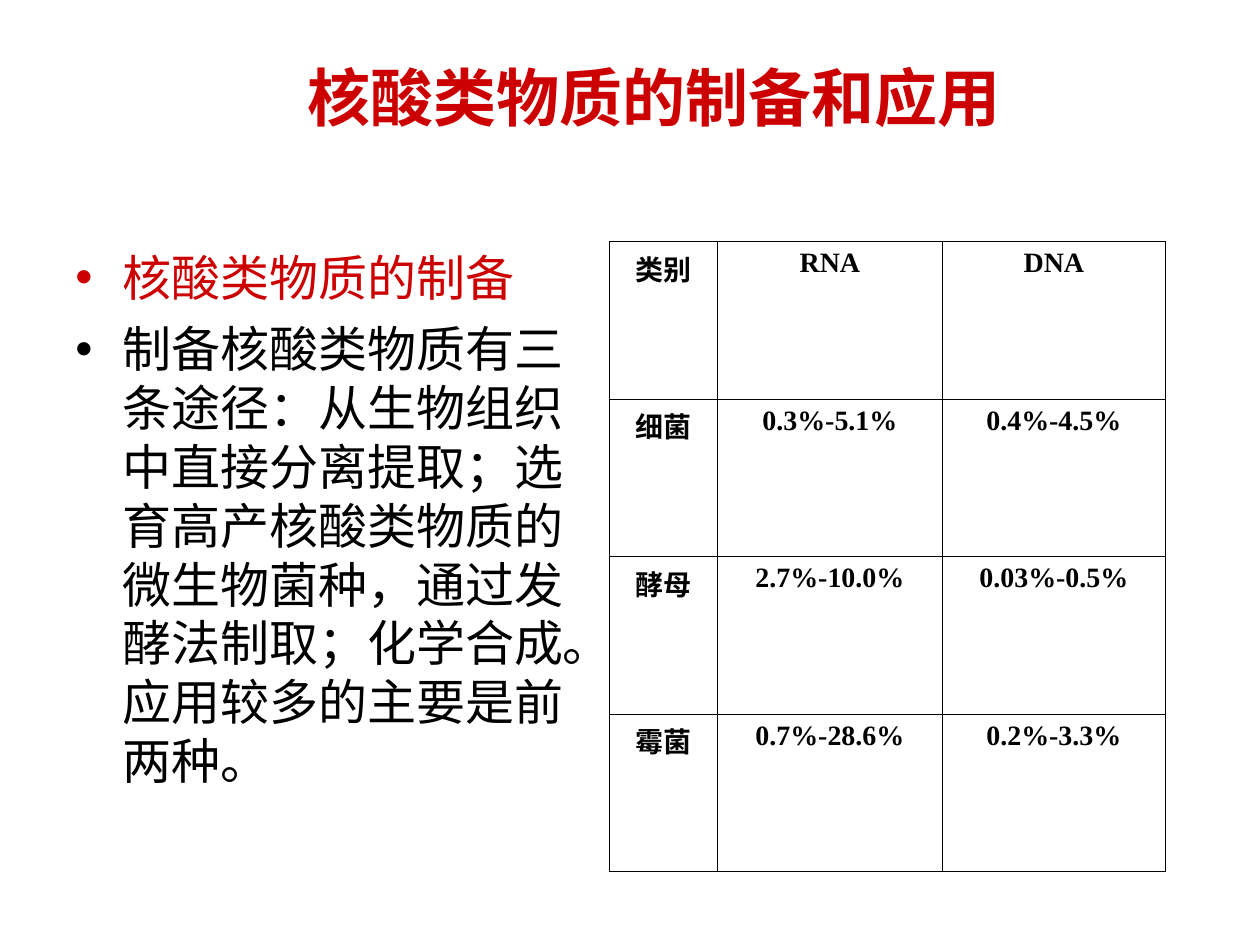
from lxml import etree
from pptx import Presentation
from pptx import util as u
from pptx.dml.color import RGBColor
from pptx.enum import lang, text
from pptx.oxml import ns

COLORS = {"red": "CC0000", "black": "000000"}


def write(paragraph, content, font="Arial", size=28, color="black", bold=False,
          align=text.PP_ALIGN.LEFT, before=0):
    paragraph.alignment = align
    paragraph.space_before = u.Pt(before)
    run = paragraph.add_run()
    run.text = content
    run.font.name = font
    run.font.size = u.Pt(size)
    run.font.bold = bold
    run.font.color.rgb = RGBColor.from_string(COLORS[color])
    run.font.language_id = lang.MSO_LANGUAGE_ID.SIMPLIFIED_CHINESE


def add_color(parent, color):
    fill = etree.SubElement(parent, ns.qn("a:solidFill"))
    etree.SubElement(fill, ns.qn("a:srgbClr"), val=COLORS[color])


class SlideBuilder:
    indent = 27
    border = 0.45

    def __init__(self, slide):
        self.slide = slide

    def text_frame(self, left, top, width, height, wrap=True):
        box = self.slide.shapes.add_textbox(*map(u.Pt, (left, top, width, height)))
        box.text_frame.word_wrap = wrap
        return box.text_frame

    def title(self, content, *place):
        frame = self.text_frame(*place, wrap=False)
        frame.auto_size = text.MSO_AUTO_SIZE.SHAPE_TO_FIT_TEXT
        write(frame.paragraphs[0], content, size=36, color="red", bold=True)

    def bullets(self, items, *place):
        frame = self.text_frame(*place)
        for index, (content, color) in enumerate(items):
            paragraph = frame.add_paragraph() if index else frame.paragraphs[0]
            properties = paragraph._p.get_or_add_pPr()
            properties.set("marL", str(u.Pt(self.indent)))
            properties.set("indent", str(u.Pt(-self.indent)))
            add_color(etree.SubElement(properties, ns.qn("a:buClr")), color)
            # The colour belongs directly inside buClr
            bullet_color = properties.find(ns.qn("a:buClr"))
            bullet_color.replace(bullet_color[0], bullet_color[0][0])
            etree.SubElement(properties, ns.qn("a:buFont"), typeface="Arial")
            etree.SubElement(properties, ns.qn("a:buChar"), char="•")
            write(paragraph, content, color=color, before=7 if index else 0)

    def table(self, rows, left, top, widths, row_height):
        frame = self.slide.shapes.add_table(
            len(rows), len(widths), u.Pt(left), u.Pt(top),
            u.Pt(sum(widths)), u.Pt(row_height * len(rows)))
        table = frame.table
        table.first_row = table.horz_banding = False
        for column, width in zip(table.columns, widths):
            column.width = u.Pt(width)
        for row, values in zip(table.rows, rows):
            row.height = u.Pt(row_height)
            for cell, value in zip(row.cells, values):
                self.borders(cell)
                cell.fill.background()
                write(cell.text_frame.paragraphs[0], value, font="Times New Roman",
                      size=16, bold=True, align=text.PP_ALIGN.CENTER)

    def borders(self, cell):
        properties = cell._tc.get_or_add_tcPr()
        for side in ("lnL", "lnR", "lnT", "lnB"):
            line = etree.SubElement(properties, ns.qn("a:" + side),
                                    w=str(u.Pt(self.border)))
            add_color(line, "black")


def main():
    deck = Presentation()
    deck.slide_width, deck.slide_height = u.Pt(720), u.Pt(540)
    builder = SlideBuilder(deck.slides.add_slide(deck.slide_layouts[6]))

    # Title
    builder.title("核酸类物质的制备和应用", 168.5, 30, 410.5, 50.5)

    # Preparation routes
    builder.bullets([
        ("核酸类物质的制备", "red"),
        ("制备核酸类物质有三条途径：从生物组织中直接分离提取；选育高产核酸类物质的"
         "微生物菌种，通过发酵法制取；化学合成。应用较多的主要是前两种。", "black"),
    ], 36, 138, 318, 360)

    # Nucleic acid content by organism
    builder.table([
        ("类别", "RNA", "DNA"),
        ("细菌", "0.3%-5.1%", "0.4%-4.5%"),
        ("酵母", "2.7%-10.0%", "0.03%-0.5%"),
        ("霉菌", "0.7%-28.6%", "0.2%-3.3%"),
    ], 348, 138, (62, 128.5, 127.5), 90)

    deck.save("out.pptx")


if __name__ == "__main__":
    main()
